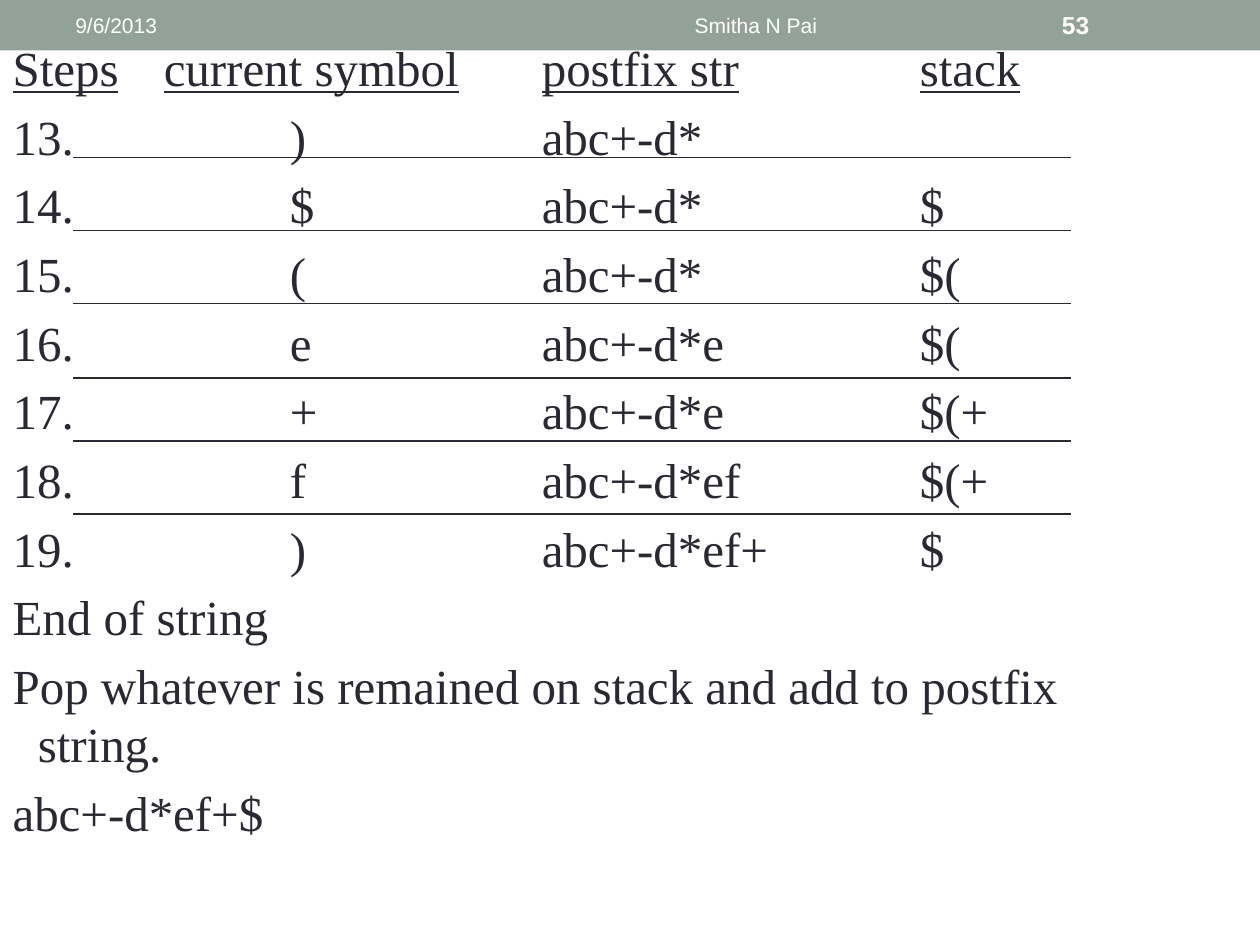
from lxml.etree import SubElement
from pptx import Presentation
from pptx.dml.color import RGBColor
from pptx.enum.shapes import MSO_CONNECTOR, MSO_SHAPE
from pptx.enum.text import MSO_ANCHOR, MSO_AUTO_SIZE, PP_ALIGN
from pptx.oxml.ns import qn
from pptx.util import Inches, Pt

COLORS = {"band": "93A299", "ink": "292934", "light": "FFFFFF"}

HEADING = "Steps\tcurrent symbol\tpostfix str\t\tstack"
STEPS = [
    ("13.", ")", "abc+-d*", ""),
    ("14.", "$", "abc+-d*", "$"),
    ("15.", "(", "abc+-d*", "$("),
    ("16.", "e", "abc+-d*e", "$("),
    ("17.", "+", "abc+-d*e", "$(+"),
    ("18.", "f", "abc+-d*ef", "$(+"),
    ("19.", ")", "abc+-d*ef+", "$"),
]
CLOSING = [
    "End of string",
    "Pop whatever is remained on stack and add to postfix string.",
    "abc+-d*ef+$",
]
# text, left, width, alignment, font format
BAND_ITEMS = [
    ("9/6/2013", 0.5, 3.17, PP_ALIGN.LEFT, {"size": Pt(12), "bold": False}),
    ("Smitha N Pai", 3.75, 4.5, PP_ALIGN.CENTER, {"size": Pt(12), "bold": False}),
    ("53", 8.33, 1.17, PP_ALIGN.LEFT, {"size": Pt(14), "bold": True}),
]
RULE_HEIGHTS = [1.25, 1.83, 2.41, 3, 3.5, 4.08]
RULE_LEFT, RULE_RIGHT = 0.58, 8.5
BAND_HEIGHT = 0.4

BODY_FONT = {"name": "Times New Roman", "size": Pt(28)}
BODY_SPACING = {"line_spacing": Pt(33.6), "space_before": Pt(5.6), "space_after": Pt(0)}
BODY_INDENT = {"marL": Inches(0.2), "indent": Inches(-0.2), "defTabSz": Inches(1)}


def color(key):
    return RGBColor.from_string(COLORS[key])


def apply(target, values):
    for key, value in values.items():
        setattr(target, key, value)


def add_band(slide, width):
    band = slide.shapes.add_shape(MSO_SHAPE.RECTANGLE, 0, 0, width, Inches(BAND_HEIGHT))
    band.shadow.inherit = False
    band.fill.solid()
    band.fill.fore_color.rgb = color("band")
    band.line.fill.background()


def fill_body(body):
    apply(body, {"left": 0, "top": Inches(0.25), "width": Inches(9), "height": Inches(7)})
    frame = body.text_frame
    apply(frame, {"word_wrap": True, "auto_size": MSO_AUTO_SIZE.NONE,
                  "vertical_anchor": MSO_ANCHOR.TOP})
    lines = [HEADING, *("\t\t".join(step) for step in STEPS), *CLOSING]
    for index, line in enumerate(lines):
        paragraph = frame.add_paragraph() if index else frame.paragraphs[0]
        apply(paragraph, BODY_SPACING)
        properties = paragraph._p.get_or_add_pPr()
        for key, value in BODY_INDENT.items():
            properties.set(key, str(int(value)))
        SubElement(properties, qn("a:buNone"))
        run = paragraph.add_run()
        run.text = line
        apply(run.font, BODY_FONT)
        run.font.underline = line == HEADING
        run.font.color.rgb = color("ink")


def add_rule(slide, height):
    rule = slide.shapes.add_connector(
        MSO_CONNECTOR.STRAIGHT,
        Inches(RULE_LEFT), Inches(height), Inches(RULE_RIGHT), Inches(height))
    rule.line.color.rgb = color("ink")
    rule.line.width = Pt(0.75)
    SubElement(rule._element.spPr, qn("a:effectLst"))


def add_band_item(slide, text, left, width, alignment, font):
    box = slide.shapes.add_textbox(Inches(left), Inches(0.02), Inches(width), Inches(0.36))
    apply(box.text_frame, {"word_wrap": True, "vertical_anchor": MSO_ANCHOR.MIDDLE})
    paragraph = box.text_frame.paragraphs[0]
    paragraph.alignment = alignment
    run = paragraph.add_run()
    run.text = text
    apply(run.font, {"name": "Arial", **font})
    run.font.color.rgb = color("light")


def main():
    deck = Presentation()
    deck.slide_width, deck.slide_height = Inches(10), Inches(7.5)
    slide = deck.slides.add_slide(deck.slide_layouts[1])
    title, body = slide.placeholders
    tree = slide.shapes._spTree
    tree.remove(title._element)
    add_band(slide, deck.slide_width)
    tree.append(body._element)  # bring the body in front of the band
    fill_body(body)
    for height in RULE_HEIGHTS:
        add_rule(slide, height)
    for item in BAND_ITEMS:
        add_band_item(slide, *item)
    deck.save("out.pptx")


if __name__ == "__main__":
    main()
